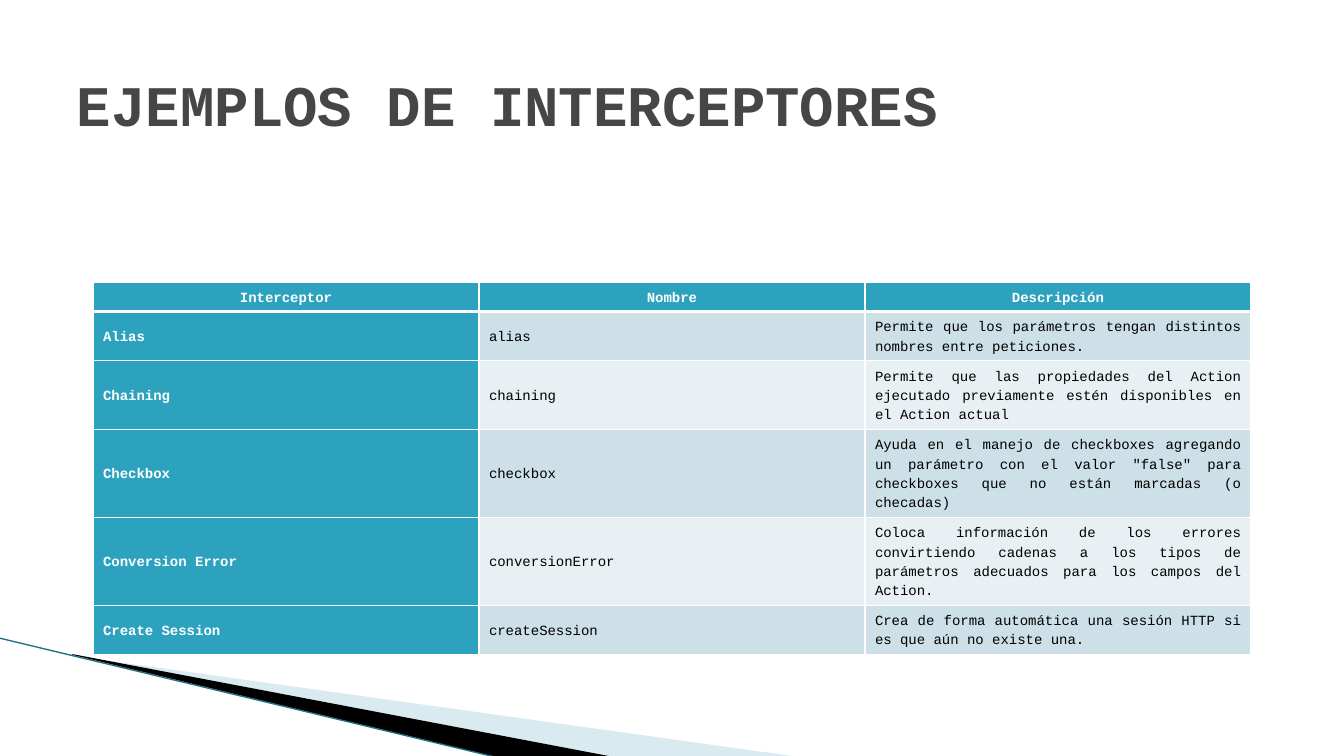
from lxml import etree
from pptx import Presentation, util as u
from pptx.dml.color import RGBColor
from pptx.enum import shapes, text
from pptx.oxml import ns

PX = 914400 / 100.8
FONT = "Courier New"
WHITE = RGBColor(0xFF, 0xFF, 0xFF)
BLACK = RGBColor(0, 0, 0)
TITLE_GREY = RGBColor(0x46, 0x46, 0x46)
TEAL = RGBColor(0x2D, 0xA2, 0xBF)
DARK_TEAL = RGBColor(0x1F, 0x71, 0x84)
PALE_BLUE = RGBColor(0xA0, 0xCB, 0xDC)
BANDS = [RGBColor(0xCD, 0xE0, 0xE8), RGBColor(0xE8, 0xF0, 0xF4)]

ROWS = [
    ("Interceptor", "Nombre", "Descripción"),
    ("Alias", "alias",
     "Permite que los parámetros tengan distintos nombres entre peticiones."),
    ("Chaining", "chaining",
     "Permite que las propiedades del Action ejecutado previamente estén "
     "disponibles en el Action actual"),
    ("Checkbox", "checkbox",
     "Ayuda en el manejo de checkboxes agregando un parámetro con el valor "
     '"false" para checkboxes que no están marcadas (o checadas)'),
    ("Conversion Error", "conversionError",
     "Coloca información de los errores convirtiendo cadenas a los tipos de "
     "parámetros adecuados para los campos del Action."),
    ("Create Session", "createSession",
     "Crea de forma automática una sesión HTTP si es que aún no existe una."),
]
ROW_HEIGHTS = [29, 49, 69, 88, 88, 49]
COLUMN_WIDTH = 386


def px(length):
    return round(length * PX)


def write(frame, words, size, color, bold=False, align=None, line=None, after=None):
    frame.word_wrap = True
    para = frame.paragraphs[0]
    para.alignment = align
    para.line_spacing = line
    para.space_after = after
    span = para.add_run()
    span.text = words
    span.font.name = FONT
    span.font.size = u.Pt(size)
    span.font.bold = bold
    span.font.color.rgb = color


deck = Presentation()
deck.slide_width, deck.slide_height = px(1344), px(756)
page = deck.slides.add_slide(deck.slide_layouts[6])

# Corner wedges and the line along them
wedges = [
    (PALE_BLUE, 40, [(74, 656), (799, 757), (613, 757), (74, 655)]),
    (BLACK, 100, [(72, 654), (614, 757), (500, 758), (73, 655)]),
]
for color, opacity, points in wedges:
    builder = page.shapes.build_freeform(*points[0], scale=PX)
    builder.add_line_segments(points[1:], close=True)
    wedge = builder.convert_to_shape()
    wedge.shadow.inherit = False
    wedge.line.fill.background()
    wedge.fill.solid()
    wedge.fill.fore_color.rgb = color
    if opacity < 100:
        tint = wedge.element.spPr.find(".//" + ns.qn("a:srgbClr"))
        etree.SubElement(tint, ns.qn("a:alpha"), val=str(opacity * 1000))

edge = page.shapes.add_connector(
    shapes.MSO_CONNECTOR.STRAIGHT, px(-1), px(638), px(499), px(758))
edge.line.color.rgb = DARK_TEAL
edge.line.width = u.Pt(0.95)
etree.SubElement(edge.element.spPr, ns.qn("a:effectLst"))

# Table of interceptors
table = page.shapes.add_table(
    len(ROWS), 3, px(93), px(282), px(3 * COLUMN_WIDTH), px(sum(ROW_HEIGHTS))).table
for column in table.columns:
    column.width = px(COLUMN_WIDTH)
for r, (row, height) in enumerate(zip(ROWS, ROW_HEIGHTS)):
    table.rows[r].height = px(height)
    for c, words in enumerate(row):
        cell = table.cell(r, c)
        heading = r == 0 or c == 0
        properties = cell._tc.get_or_add_tcPr()
        for side in "LRTB":
            thick = (r, side) in ((0, "B"), (1, "T"))
            border = etree.SubElement(
                properties, ns.qn("a:ln" + side), w=str(u.Pt(3 if thick else 1)))
            solid = etree.SubElement(border, ns.qn("a:solidFill"))
            etree.SubElement(solid, ns.qn("a:srgbClr"), val=str(WHITE))
        cell.fill.solid()
        cell.fill.fore_color.rgb = TEAL if heading else BANDS[(r - 1) % 2]
        cell.vertical_anchor = text.MSO_ANCHOR.MIDDLE
        write(cell.text_frame, words, 10, WHITE if heading else BLACK, bold=heading,
              align=text.PP_ALIGN.CENTER if r == 0 else text.PP_ALIGN.JUSTIFY,
              line=u.Pt(13.8), after=u.Pt(8))

# Title
title = page.shapes.add_textbox(px(67), px(30), px(1210), px(126)).text_frame
title.vertical_anchor = text.MSO_ANCHOR.MIDDLE
title.margin_top = px(27)
write(title, "EJEMPLOS DE INTERCEPTORES", 41, TITLE_GREY, bold=True)

deck.save("out.pptx")
